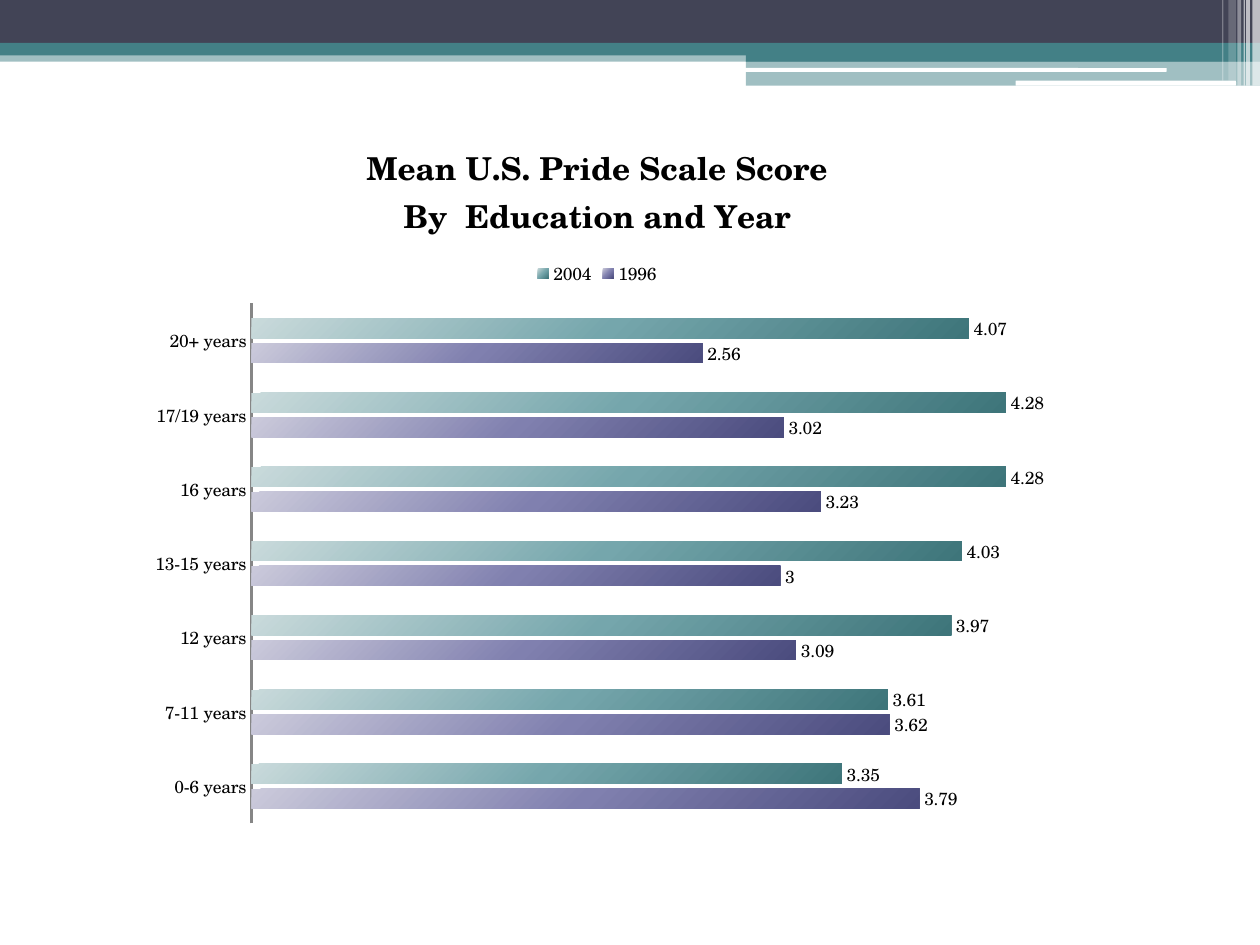
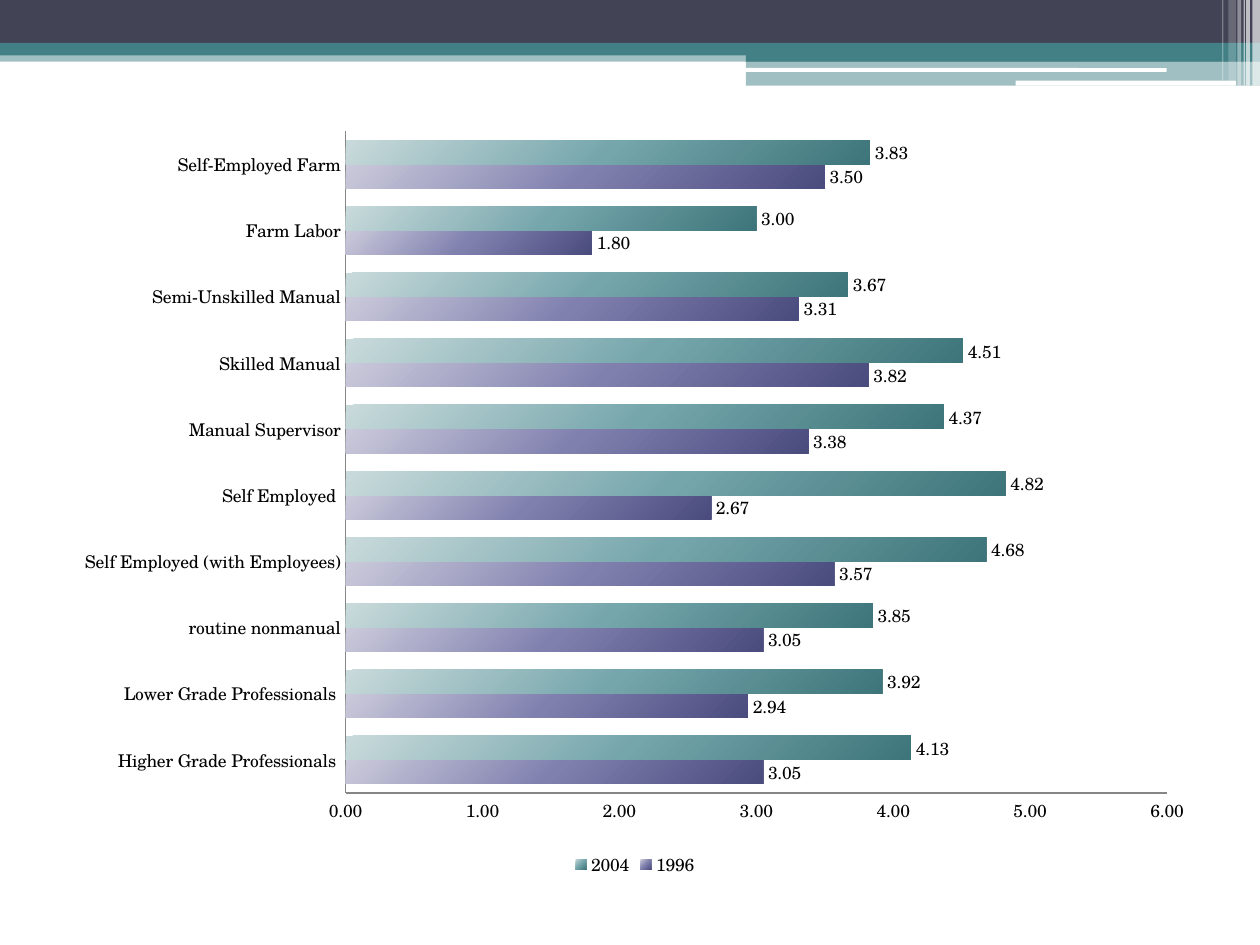
from copy import deepcopy

from lxml import etree
from pptx import Presentation
from pptx.chart.data import CategoryChartData
from pptx.dml.color import RGBColor
from pptx.enum.chart import XL_CHART_TYPE, XL_LABEL_POSITION, XL_LEGEND_POSITION, XL_TICK_MARK
from pptx.enum.shapes import MSO_SHAPE
from pptx.enum.text import PP_ALIGN
from pptx.oxml.ns import qn
from pptx.util import Inches, Pt

FONT = "TeX Gyre Schola"
BLACK = RGBColor(0x00, 0x00, 0x00)
WHITE = RGBColor(0xFF, 0xFF, 0xFF)
SLATE = RGBColor(0x42, 0x44, 0x56)
TEAL = RGBColor(0x43, 0x80, 0x86)
AXIS_GRAY = RGBColor(0x86, 0x86, 0x86)

# Light, middle and dark stop of each series' bars
GRADIENTS = {
    "1996": (RGBColor(0xCB, 0xCA, 0xDB), RGBColor(0x80, 0x80, 0xAF), RGBColor(0x4B, 0x4C, 0x7E)),
    "2004": (RGBColor(0xC9, 0xDA, 0xDB), RGBColor(0x75, 0xA6, 0xAC), RGBColor(0x3E, 0x75, 0x7A)),
}

# Header band: left, top, width, height, colour, opacity in percent
RECT, ROUND = MSO_SHAPE.RECTANGLE, MSO_SHAPE.ROUNDED_RECTANGLE
BANDS = [
    (RECT, 0, 0.4, 10, 0.09, TEAL, 50),
    (RECT, 0, 0, 10, 0.34, SLATE, 100),
    (RECT, 0, 0.34, 10, 0.1, TEAL, 100),
    (RECT, 5.92, 0.39, 4.08, 0.1, TEAL, 100),
    (RECT, 5.92, 0.48, 4.08, 0.2, TEAL, 50),
    (ROUND, 5.91, 0.54, 3.35, 0.03, WHITE, 100),
    (ROUND, 8.06, 0.64, 1.75, 0.04, WHITE, 100),
    (RECT, 9.94, 0, 0.06, 0.68, WHITE, 65),
    (RECT, 9.89, 0, 0.03, 0.68, WHITE, 65),
    (RECT, 9.87, 0, 0.01, 0.68, WHITE, 60),
    (RECT, 9.82, 0, 0.03, 0.68, WHITE, 40),
    (RECT, 9.75, 0, 0.06, 0.64, WHITE, 20),
    (RECT, 9.7, 0, 0.01, 0.64, WHITE, 30),
]

# One entry per slide; "plot" is x, y, width, height as shares of the chart
CHARTS = [
    dict(
        box=(1.08, 0.92, 7.32, 5.73), plot=(0.125, 0.26, 0.86, 0.72),
        title=["Mean U.S. Pride Scale Score", "By  Education and Year"],
        cats=["0-6 years", "7-11 years", "12 years", "13-15 years", "16 years",
              "17/19 years", "20+ years"],
        series={"1996": [3.79, 3.62, 3.09, 3, 3.23, 3.02, 2.56],
                "2004": [3.35, 3.61, 3.97, 4.03, 4.28, 4.28, 4.07]},
        legend=XL_LEGEND_POSITION.TOP, gap=150, overlap=-25, fmt="General",
        value_axis=False, top=4.5, axis_width=1.5,
    ),
    dict(
        box=(0.5, 0.92, 9.08, 6.08), plot=(0.247, 0.02, 0.718, 0.864),
        title=[],
        cats=["Higher Grade Professionals ", "Lower Grade Professionals ", "routine nonmanual",
              "Self Employed (with Employees)", "Self Employed ", "Manual Supervisor",
              "Skilled Manual", "Semi-Unskilled Manual", "Farm Labor", "Self-Employed Farm"],
        series={"1996": [3.05, 2.94, 3.05, 3.57, 2.67, 3.38, 3.82, 3.31, 1.8, 3.5],
                "2004": [4.13, 3.92, 3.85, 4.68, 4.82, 4.37, 4.51, 3.67, 3, 3.83]},
        legend=XL_LEGEND_POSITION.BOTTOM, gap=75, overlap=0, fmt="0.00",
        value_axis=True, top=6, axis_width=0.75,
    ),
]


def write_text(p, text, size=10, bold=False, color=BLACK, align=PP_ALIGN.CENTER):
    p.alignment = align
    r = p.add_run()
    r.text = text
    r.font.name, r.font.size, r.font.bold = FONT, Pt(size), bold
    r.font.color.rgb = color


prs = Presentation()
prs.slide_width, prs.slide_height = Inches(10), Inches(7.5)

for spec_row in CHARTS:
    s = prs.slides.add_slide(prs.slide_layouts[6])

    # Header band
    for kind, x, y, w, h, color, opacity in BANDS:
        sp = s.shapes.add_shape(kind, Inches(x), Inches(y), Inches(w), Inches(h))
        sp.shadow.inherit = False
        sp.line.fill.background()
        sp.fill.solid()
        sp.fill.fore_color.rgb = color
        if opacity < 100:
            clr = sp.element.spPr.find(qn("a:solidFill"))[0]
            etree.SubElement(clr, qn("a:alpha")).set("val", str(opacity * 1000))

    # Chart
    data = CategoryChartData(number_format=spec_row["fmt"])
    data.categories = spec_row["cats"]
    for name, values in spec_row["series"].items():
        data.add_series(name, values)
    box = [Inches(v) for v in spec_row["box"]]
    chart = s.shapes.add_chart(XL_CHART_TYPE.BAR_CLUSTERED, *box, data).chart
    chart.font.name, chart.font.size = FONT, Pt(10)
    chart.font.color.rgb = BLACK

    # Title and legend
    chart.has_title = bool(spec_row["title"])
    for i, line in enumerate(spec_row["title"]):
        tf = chart.chart_title.text_frame
        p = tf.add_paragraph() if i else tf.paragraphs[0]
        write_text(p, line, size=18, bold=True)
    chart.has_legend = True
    chart.legend.position = spec_row["legend"]
    chart.legend.include_in_layout = False

    # Axes
    for axis in (chart.category_axis, chart.value_axis):
        axis.has_major_gridlines = False
        axis.major_tick_mark = axis.minor_tick_mark = XL_TICK_MARK.NONE
        axis.format.line.color.rgb = AXIS_GRAY
        axis.format.line.width = Pt(spec_row["axis_width"])
    axis.visible = spec_row["value_axis"]
    axis.minimum_scale, axis.maximum_scale = 0, spec_row["top"]
    axis.tick_labels.number_format = spec_row["fmt"]
    axis.tick_labels.number_format_is_linked = False

    # Plot area position
    area = chart.element.find(".//" + qn("c:plotArea"))
    for old in area.findall(qn("c:layout")):
        area.remove(old)
    layout = etree.Element(qn("c:layout"))
    area.insert(0, layout)
    manual = etree.SubElement(layout, qn("c:manualLayout"))
    settings = [("layoutTarget", "inner"), ("xMode", "edge"), ("yMode", "edge")]
    for tag, val in settings + list(zip("xywh", spec_row["plot"])):
        etree.SubElement(manual, qn("c:" + tag)).set("val", str(val))

    # Bars and their labels
    plot = chart.plots[0]
    plot.vary_by_categories = False
    plot.gap_width, plot.overlap = spec_row["gap"], spec_row["overlap"]
    for series, ser in zip(plot.series, area.iter(qn("c:ser"))):
        fill = series.format.fill
        fill.gradient()
        fill.gradient_angle = 315
        stops = ser.find(".//" + qn("a:gsLst"))
        middle = deepcopy(stops[0])
        middle.set("pos", "50000")
        stops.insert(1, middle)
        for stop, color in zip(fill.gradient_stops, GRADIENTS[series.name]):
            stop.color.rgb = color
        labels = series.data_labels
        labels.show_value = True
        labels.position = XL_LABEL_POSITION.OUTSIDE_END
        labels.number_format = spec_row["fmt"]
        labels.number_format_is_linked = False

prs.save("out.pptx")
